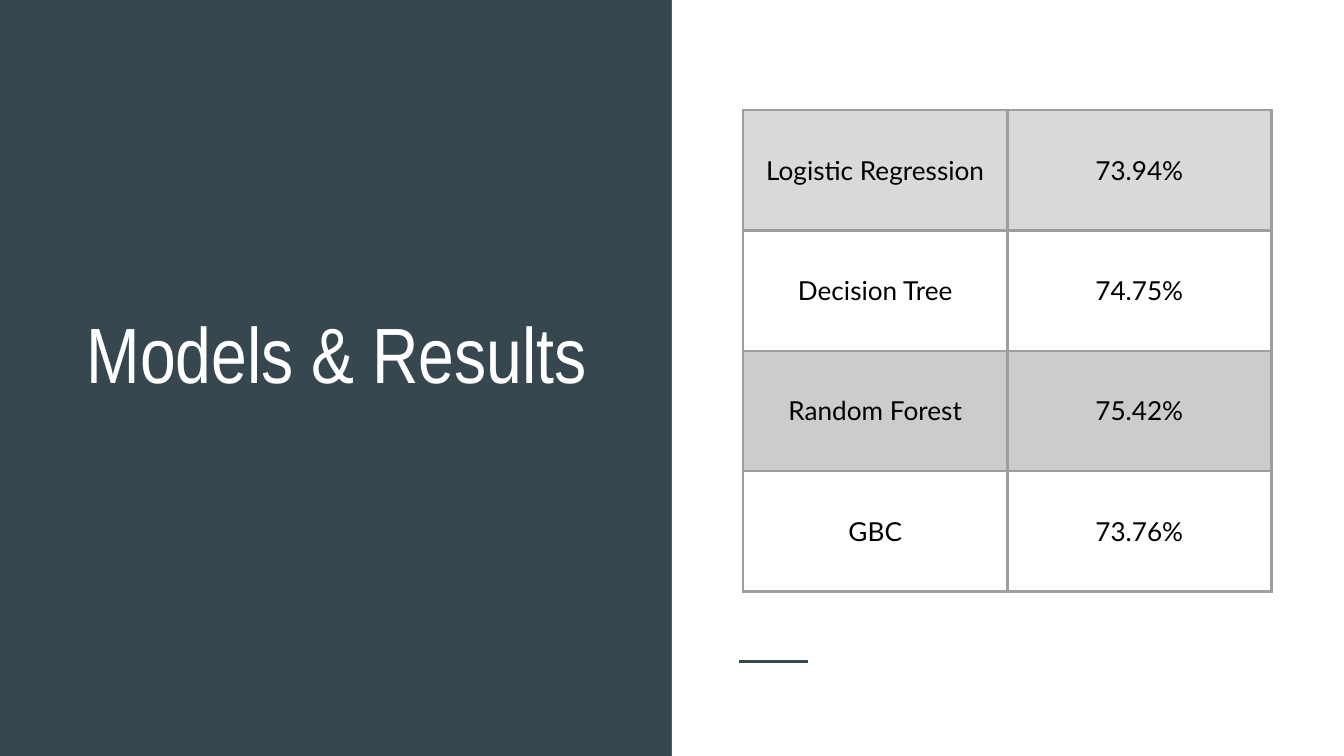
from dataclasses import dataclass

from lxml.etree import SubElement
from pptx import Presentation
from pptx.dml.color import RGBColor
from pptx.enum.shapes import MSO_CONNECTOR as Conn, MSO_SHAPE as Shape
from pptx.enum.text import MSO_ANCHOR as Anchor, MSO_AUTO_SIZE as AutoSize, PP_ALIGN as Align
from pptx.oxml.ns import qn
from pptx.util import Inches, Pt

WIDTH = Inches(10)
HEIGHT = WIDTH * 9 // 16
SLATE, WHITE, BLACK, BORDER = "37474F", "FFFFFF", "000000", "9E9E9E"
MARGINS = dict.fromkeys(("margin_left", "margin_top", "margin_right", "margin_bottom"), Inches(0.1))


@dataclass
class Result:
    """One model, its accuracy and the fill of its row."""
    model: str
    accuracy: str
    fill: str = ""


RESULTS = [
    Result("Logistic Regression", "73.94%", "D9D9D9"),
    Result("Decision Tree", "74.75%"),
    Result("Random Forest", "75.42%", "CCCCCC"),
    Result("GBC", "73.76%"),
]


def rgb(value: str) -> RGBColor:
    """Turn a hex string into a colour."""
    return RGBColor.from_string(value)


def apply(target, values: dict) -> None:
    """Set each named attribute on the target."""
    for name, value in values.items():
        setattr(target, name, value)


def write(tf, text: str, font: str, size: float, color: str) -> None:
    """Write one centred paragraph into a text frame."""
    p = tf.paragraphs[0]
    p.alignment = Align.CENTER
    r = p.add_run()
    r.text = text
    apply(r.font, {"name": font, "size": Pt(size), "bold": False})
    r.font.color.rgb = rgb(color)


def add_panel(s) -> None:
    """Draw the white right half with its short accent line."""
    sp = s.shapes.add_shape(Shape.RECTANGLE, WIDTH // 2, 0, WIDTH // 2, HEIGHT)
    sp.shadow.inherit = False
    sp.fill.solid()
    sp.fill.fore_color.rgb = rgb(WHITE)
    sp.line.fill.background()
    y = HEIGHT * 7 // 8
    accent = s.shapes.add_connector(Conn.STRAIGHT, Inches(5.5), y, Inches(6.01), y)
    accent.line.color.rgb = rgb(SLATE)
    accent.line.width = Pt(1.5)
    SubElement(accent._element.spPr, qn("a:effectLst"))


def place_title(s, text: str) -> None:
    """Place and format the title on the dark half."""
    title = s.shapes.title
    apply(title, {"left": Inches(0.29), "top": Inches(1.27),
                  "width": Inches(4.43), "height": Inches(2.7)})
    tf = title.text_frame
    apply(tf, {**MARGINS, "word_wrap": True, "auto_size": AutoSize.NONE,
               "vertical_anchor": Anchor.MIDDLE})
    write(tf, text, "Arial Narrow", 42, WHITE)


def add_borders(cell, color: str, width: float) -> None:
    """Give a cell the same solid line on all four sides."""
    tc_pr = cell._tc.get_or_add_tcPr()
    for side in ("lnL", "lnR", "lnT", "lnB"):
        ln = SubElement(tc_pr, qn(f"a:{side}"), w=str(Pt(width)))
        SubElement(SubElement(ln, qn("a:solidFill")), qn("a:srgbClr"), val=color)


def add_results(s, results: list[Result]) -> None:
    """Draw the table with one row for each model."""
    table = s.shapes.add_table(len(results), 2, Inches(5.53), Inches(0.82),
                               Inches(3.93), Inches(3.58)).table
    apply(table, {"first_row": False, "horz_banding": False})
    for row, result in zip(table.rows, results):
        for cell, text in zip(row.cells, (result.model, result.accuracy)):
            apply(cell, {**MARGINS, "vertical_anchor": Anchor.MIDDLE})
            add_borders(cell, BORDER, 1.5)
            if result.fill:
                cell.fill.solid()
                cell.fill.fore_color.rgb = rgb(result.fill)
            else:
                cell.fill.background()
            write(cell.text_frame, text, "Lato", 14, BLACK)


def main() -> None:
    """Build and save the slide."""
    prs = Presentation()
    apply(prs, {"slide_width": WIDTH, "slide_height": HEIGHT})
    s = prs.slides.add_slide(prs.slide_layouts.get_by_name("Title Only"))
    s.background.fill.solid()
    s.background.fill.fore_color.rgb = rgb(SLATE)
    add_panel(s)
    place_title(s, "Models & Results")
    add_results(s, RESULTS)
    prs.save("out.pptx")


if __name__ == "__main__":
    main()
